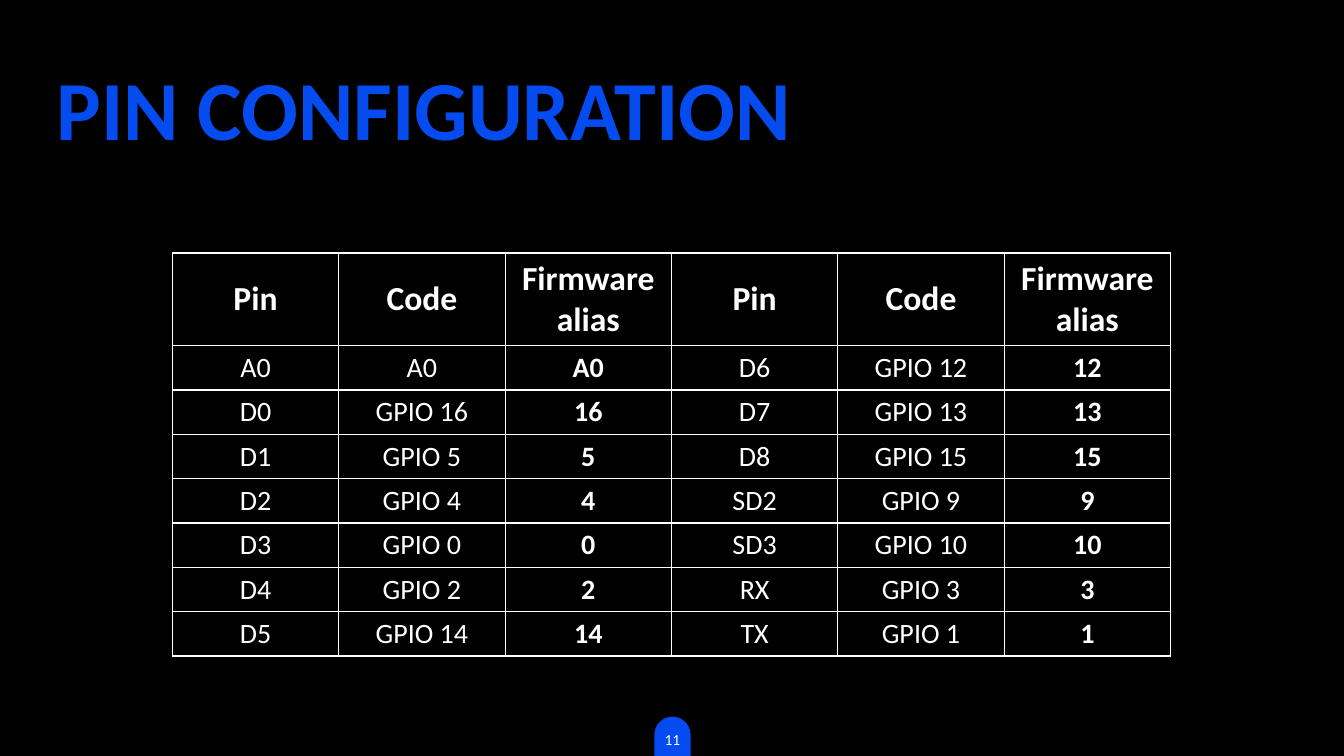
from dataclasses import dataclass

import pptx
import pptx.dml.color
import pptx.enum.shapes
import pptx.enum.text
import pptx.oxml
import pptx.oxml.ns
import pptx.util
from pptx.util import Inches

ALIGN = pptx.enum.text.PP_ALIGN
ANCHOR = pptx.enum.text.MSO_ANCHOR


@dataclass(frozen=True)
class Theme:
    font: str = "Calibri"
    background: str = "000000"
    accent: str = "044CF0"
    text: str = "FFFFFF"
    title_size: int = 60
    header_size: int = 24
    body_size: int = 20
    number_size: int = 11
    border_width: int = 1


THEME = Theme()

HEADER = ("Pin", "Code", "Firmware alias")
PINS = [
    ("A0", "A0", "A0"), ("D0", "GPIO 16", "16"), ("D1", "GPIO 5", "5"),
    ("D2", "GPIO 4", "4"), ("D3", "GPIO 0", "0"), ("D4", "GPIO 2", "2"),
    ("D5", "GPIO 14", "14"), ("D6", "GPIO 12", "12"), ("D7", "GPIO 13", "13"),
    ("D8", "GPIO 15", "15"), ("SD2", "GPIO 9", "9"), ("SD3", "GPIO 10", "10"),
    ("RX", "GPIO 3", "3"), ("TX", "GPIO 1", "1"),
]


def rgb(color):
    return pptx.dml.color.RGBColor.from_string(color)


def write(frame, text, size, color, bold=False, align=ALIGN.CENTER):
    frame.text = text
    para = frame.paragraphs[0]
    para.alignment = align
    for span in para.runs:
        span.font.name = THEME.font
        span.font.size = pptx.util.Pt(size)
        span.font.bold = bold
        span.font.color.rgb = rgb(color)
    return para


def add_title(page, text, left, top, width, height):
    title = page.shapes.title
    title.left, title.top = Inches(left), Inches(top)
    title.width, title.height = Inches(width), Inches(height)
    frame = title.text_frame
    para = write(frame, text, THEME.title_size, THEME.accent, True, ALIGN.LEFT)
    para.line_spacing = 0.9
    frame.word_wrap = True
    frame.auto_size = pptx.enum.text.MSO_AUTO_SIZE.NONE
    frame.vertical_anchor = ANCHOR.MIDDLE


def add_borders(cell):
    properties = cell._tc.get_or_add_tcPr()
    width = pptx.util.Pt(THEME.border_width)
    for side in ("lnL", "lnR", "lnT", "lnB"):
        properties.append(pptx.oxml.parse_xml(
            f'<a:{side} {pptx.oxml.ns.nsdecls("a")} w="{width}"><a:solidFill>'
            f'<a:srgbClr val="{THEME.text}"/></a:solidFill></a:{side}>'))


def add_pin_table(page, left, top, width, header_height, row_height):
    """Lay the pins out in two halves, side by side under a repeated header."""
    half = len(PINS) // 2
    rows = [HEADER * 2] + [a + b for a, b in zip(PINS[:half], PINS[half:])]
    columns = len(rows[0])
    height = header_height + half * row_height
    table = page.shapes.add_table(
        len(rows), columns,
        Inches(left), Inches(top), Inches(width), Inches(height)).table
    table.horz_banding = False
    for column in table.columns:
        column.width = Inches(width / columns)
    for r, values in enumerate(rows):
        is_header = r == 0
        table.rows[r].height = Inches(header_height if is_header else row_height)
        size = THEME.header_size if is_header else THEME.body_size
        for c, value in enumerate(values):
            cell = table.cell(r, c)
            is_alias = c % len(HEADER) == len(HEADER) - 1
            write(cell.text_frame, value, size, THEME.text, is_header or is_alias)
            cell.vertical_anchor = ANCHOR.MIDDLE
            add_borders(cell)
            cell.fill.background()


def add_page_number(page, number, left, top, width, height):
    tab = page.shapes.add_shape(
        pptx.enum.shapes.MSO_SHAPE.ROUND_2_SAME_RECTANGLE,
        Inches(left), Inches(top), Inches(width), Inches(height))
    tab.adjustments[0] = 0.5
    tab.shadow.inherit = False
    tab.fill.solid()
    tab.fill.fore_color.rgb = rgb(THEME.accent)
    tab.line.fill.background()
    label = page.shapes.add_textbox(
        Inches(left - 0.01), Inches(top + 0.08), Inches(width + 0.02), Inches(0.29))
    write(label.text_frame, number, THEME.number_size, THEME.text)
    label.text_frame.word_wrap = False
    label.text_frame.auto_size = pptx.enum.text.MSO_AUTO_SIZE.SHAPE_TO_FIT_TEXT


def main():
    deck = pptx.Presentation()
    deck.slide_width, deck.slide_height = Inches(13.33), Inches(7.5)
    page = deck.slides.add_slide(deck.slide_layouts.get_by_name("Title Only"))
    page.background.fill.solid()
    page.background.fill.fore_color.rgb = rgb(THEME.background)
    add_page_number(page, "11", 6.49, 7.11, 0.36, 0.39)
    add_title(page, "PIN CONFIGURATION", 0.46, 0.4, 7.84, 1.45)
    add_pin_table(page, 1.71, 2.51, 9.9, 0.92, 0.44)
    deck.save("out.pptx")


if __name__ == "__main__":
    main()
